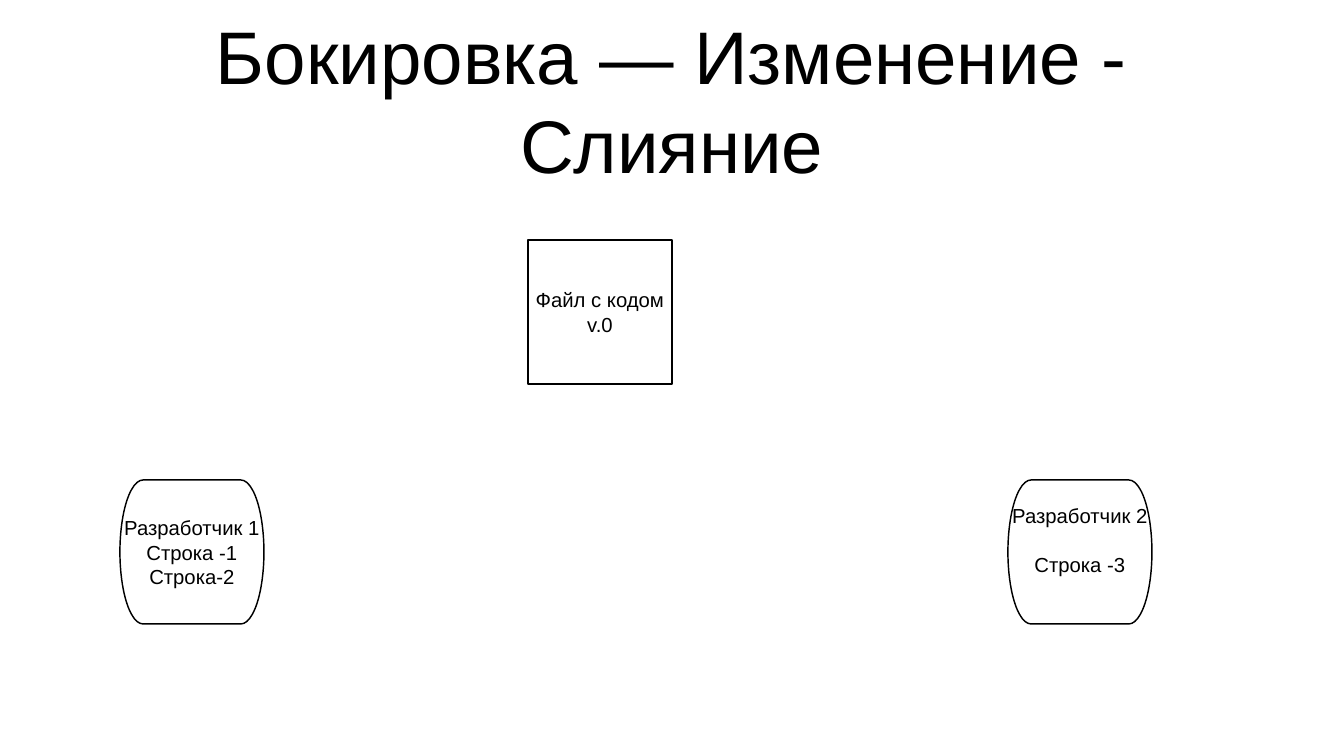
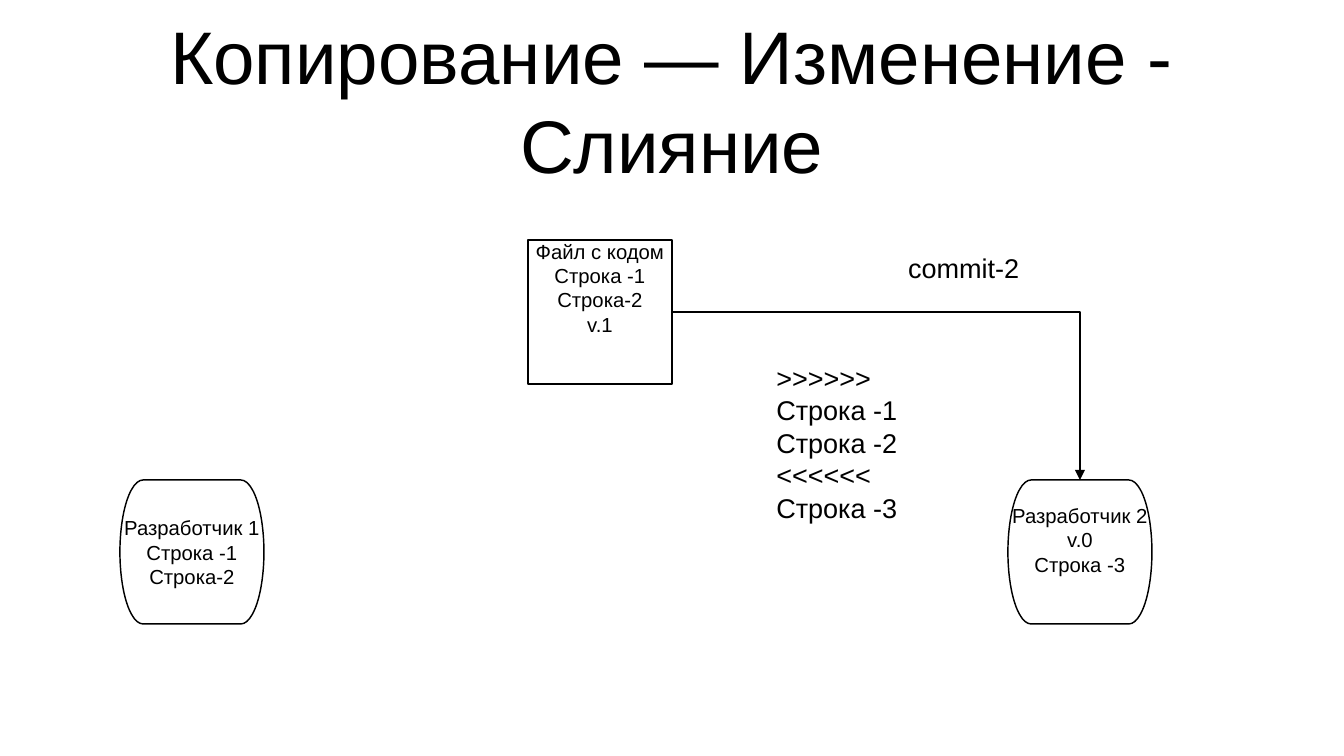
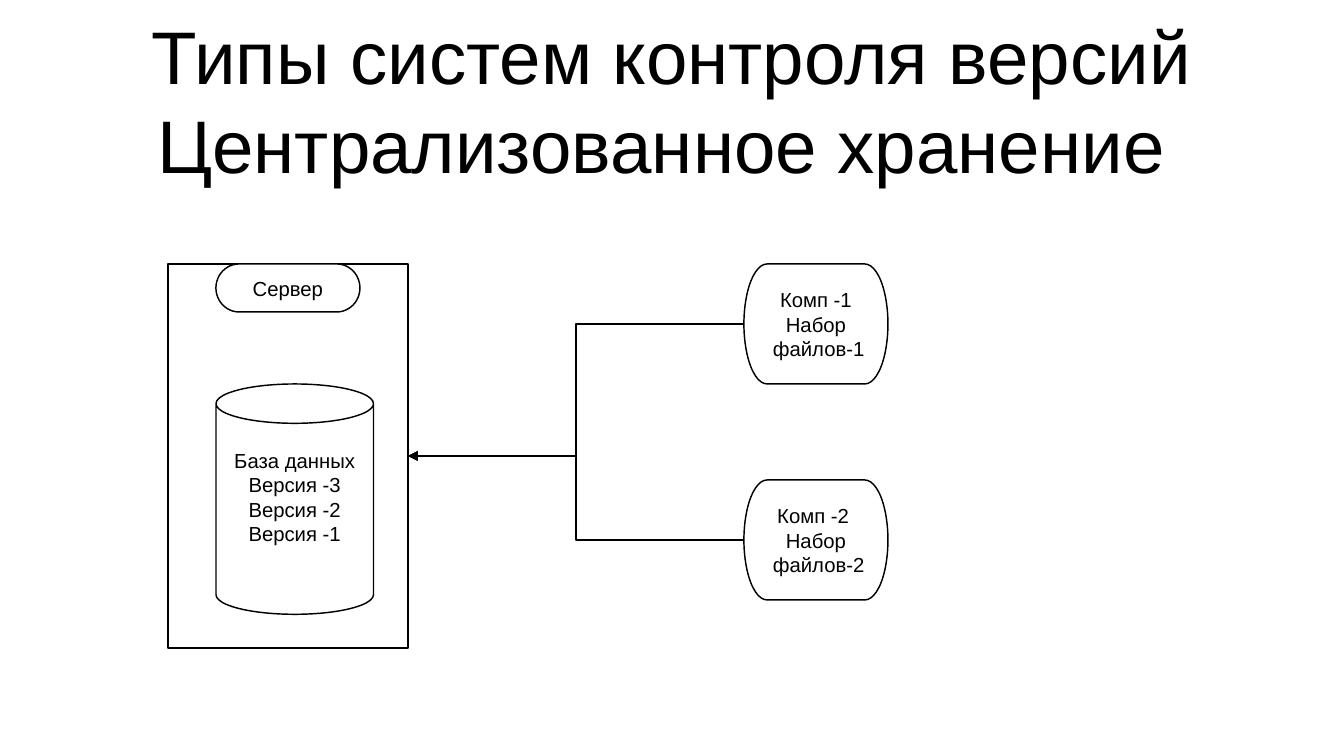
from lxml.etree import SubElement
from pptx import Presentation
from pptx.dml.color import RGBColor
from pptx.enum.shapes import MSO_CONNECTOR as CONNECTOR, MSO_SHAPE as SHAPE
from pptx.enum.text import MSO_ANCHOR as ANCHOR, PP_ALIGN as ALIGN
from pptx.oxml.ns import qn
from pptx.util import Pt

COLORS = {"ink": "000000", "paper": "FFFFFF"}
INK = RGBColor.from_string(COLORS["ink"])
PAPER = RGBColor.from_string(COLORS["paper"])
FONT = "Arial"
LINE_WIDTH = Pt(0.85)
LINE_HEIGHT = 14.4
SIDE = 85.04
FILE_AT = (311.81, 141.73, SIDE, SIDE)
DEVELOPER_1_AT = (70.87, 283.46, SIDE, SIDE)
DEVELOPER_2_AT = (595.28, 283.46, SIDE, SIDE)
DEVELOPER_1_LINES = ["Разработчик 1", "Строка -1", "Строка-2"]


def write(shape, lines, size, align, anchor, insets, wrap=False):
    frame = shape.text_frame
    frame.word_wrap = wrap
    frame.vertical_anchor = anchor
    frame.margin_left, frame.margin_top, frame.margin_right, frame.margin_bottom = map(Pt, insets)
    for index, line in enumerate(lines):
        para = frame.paragraphs[0] if index == 0 else frame.add_paragraph()
        para.text = line
        para.alignment = align
        for span in para.runs:
            span.font.name = FONT
            span.font.size = Pt(size)
            span.font.color.rgb = INK


def add_node(page, kind, at, lines=(), room_below=0):
    node = page.shapes.add_shape(kind, *map(Pt, at))
    node.shadow.inherit = False
    node.fill.solid()
    node.fill.fore_color.rgb = PAPER
    node.line.color.rgb = INK
    node.line.width = LINE_WIDTH
    write(node, lines, 12, ALIGN.CENTER, ANCHOR.MIDDLE, (7.2, 0, 7.2, room_below))
    return node


deck = Presentation()
deck.slide_width = Pt(793.7)
deck.slide_height = Pt(446.46)

pages = []
for title in [
    "Бокировка — Изменение - Слияние",
    "Копирование — Изменение - Слияние",
    "Типы систем контроля версий\nЦентрализованное хранение ",
]:
    page = deck.slides.add_slide(deck.slide_layouts[6])
    page.background.fill.solid()
    page.background.fill.fore_color.rgb = PAPER
    box = page.shapes.add_textbox(Pt(39.68), Pt(5.8), Pt(714.3), Pt(106))
    write(box, [title], 44, ALIGN.CENTER, ANCHOR.TOP, (0, 0, 0, 0), wrap=True)
    pages.append(page)
lock_page, copy_page, server_page = pages

add_node(lock_page, SHAPE.FLOWCHART_PROCESS, FILE_AT, ["Файл с кодом", "v.0"])
add_node(lock_page, SHAPE.FLOWCHART_TERMINATOR, DEVELOPER_1_AT, DEVELOPER_1_LINES)
developer_2 = add_node(lock_page, SHAPE.FLOWCHART_TERMINATOR, DEVELOPER_2_AT,
                       ["Разработчик 2", "Строка -3"], LINE_HEIGHT)
developer_2.text_frame.paragraphs[1].space_before = Pt(LINE_HEIGHT)

code_file = add_node(copy_page, SHAPE.FLOWCHART_PROCESS, FILE_AT,
                     ["Файл с кодом", "Строка -1", "Строка-2", "v.1"], 2 * LINE_HEIGHT)
add_node(copy_page, SHAPE.FLOWCHART_TERMINATOR, DEVELOPER_1_AT, DEVELOPER_1_LINES)
developer_2 = add_node(copy_page, SHAPE.FLOWCHART_TERMINATOR, DEVELOPER_2_AT,
                       ["Разработчик 2", "v.0", "Строка -3"], LINE_HEIGHT)
for at, lines in [
    ((451.4, 212.6, 85.7, 93.6), [">>>>>>", "Строка -1", "Строка -2", "<<<<<<", "Строка -3"]),
    ((529.2, 147.6, 80, 22.3), ["commit-2"]),
]:
    box = copy_page.shapes.add_textbox(*map(Pt, at))
    write(box, lines, 16, ALIGN.LEFT, ANCHOR.TOP, (7.2, 0.7, 7.2, 3.6))

server = add_node(server_page, SHAPE.FLOWCHART_PROCESS, (99.21, 155.91, 141.73, 226.77))
add_node(server_page, SHAPE.FLOWCHART_TERMINATOR, (127.56, 155.91, SIDE, 28.35), ["Сервер"])
add_node(server_page, SHAPE.CAN, (127.56, 226.77, 93, 136.06),
         ["База данных", "Версия -3", "Версия -2", "Версия -1"], LINE_HEIGHT)
computers = [
    add_node(server_page, SHAPE.FLOWCHART_TERMINATOR, (439.37, top, SIDE, 70.87), lines)
    for top, lines in [
        (155.91, ["Комп -1", "Набор", " файлов-1"]),
        (283.46, ["Комп -2 ", "Набор", " файлов-2"]),
    ]
]

links = [(copy_page, code_file, 3, developer_2, 0, "bentConnector2")]
links += [(server_page, computer, 1, server, 3, "bentConnector3") for computer in computers]
for page, source, source_side, target, target_side, bend in links:
    arrow = page.shapes.add_connector(CONNECTOR.ELBOW, 0, 0, 0, 0)
    arrow.begin_connect(source, source_side)
    arrow.end_connect(target, target_side)
    arrow.line.color.rgb = INK
    arrow.line.width = LINE_WIDTH
    properties = arrow.element.spPr
    properties.find(qn("a:prstGeom")).set("prst", bend)
    SubElement(properties.find(qn("a:ln")), qn("a:tailEnd"), type="triangle")
    SubElement(properties, qn("a:effectLst"))

deck.save("out.pptx")
